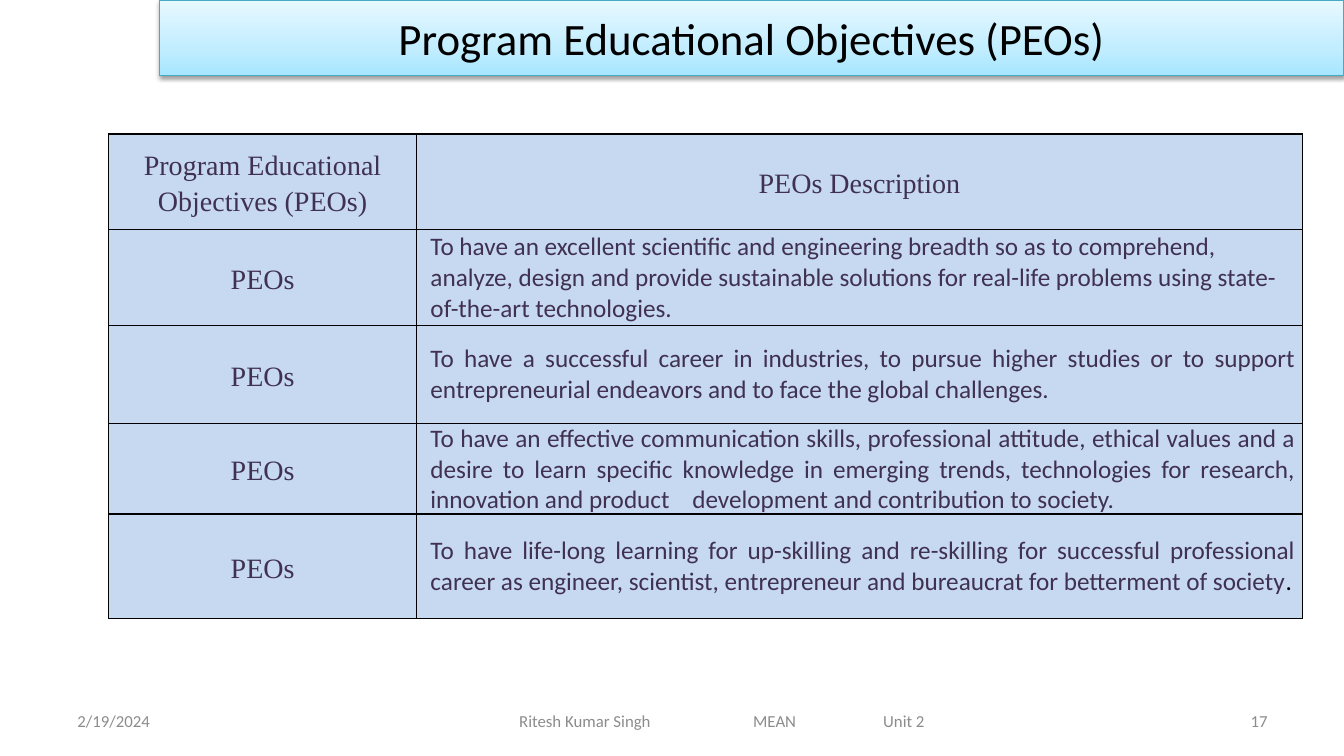
"""Build the slide that lists the program educational objectives."""
from dataclasses import dataclass

import lxml.etree
import pptx
import pptx.dml.color
import pptx.enum.shapes
import pptx.enum.text
import pptx.oxml
import pptx.oxml.ns
import pptx.util

Inches = pptx.util.Inches
Pt = pptx.util.Pt
Align = pptx.enum.text.PP_ALIGN
Anchor = pptx.enum.text.MSO_ANCHOR
qn = pptx.oxml.ns.qn


@dataclass(frozen=True)
class Theme:
    """Colours, fonts and type sizes."""
    sans: str = "Calibri"
    serif: str = "Times New Roman"
    black: str = "000000"
    grey: str = "8C8C8C"
    plum: str = "403152"
    cell: str = "C6D9F1"
    edge: str = "46AAC5"
    stops: tuple[tuple[int, str], ...] = ((0, "A7E6FF"), (35, "C1EDFF"), (100, "E7F8FF"))
    title: int = 32
    head: int = 20
    body: int = 18
    foot: int = 12


@dataclass(frozen=True)
class Run:
    """A stretch of text in one style."""
    text: str
    size: int
    tint: str
    font: str = "Calibri"


@dataclass(frozen=True)
class Foot:
    """A footer field."""
    left: float
    width: float
    text: str
    align: Align = Align.LEFT
    inset: float = 0.1
    tabs: tuple[float, ...] = ()


@dataclass(frozen=True)
class Goal:
    """A table row: its label, its text and its closing mark."""
    text: str
    align: Align = Align.JUSTIFY
    mark: str = ""


THEME = Theme()
COLS = (3.05, 8.79)
ROWS = (0.95, 0.95, 0.97, 0.86, 1.04)
HEADS = ("Program Educational Objectives (PEOs)", "PEOs Description")
LABEL = "PEOs"
GOALS = (
    Goal("To have an excellent scientific and engineering breadth so as to comprehend, analyze, "
         "design and provide sustainable solutions for real-life problems using "
         "state-of-the-art technologies.", Align.LEFT),
    Goal("To have a successful career in industries, to pursue higher studies or to support "
         "entrepreneurial endeavors and to face the global challenges."),
    Goal("To have an effective communication skills, professional attitude, ethical values and a "
         "desire to learn specific knowledge in emerging trends, technologies for research, "
         "innovation and product    development and contribution to society."),
    Goal("To have life-long learning for up-skilling and re-skilling for successful professional "
         "career as engineer, scientist, entrepreneur and bureaucrat for betterment of society",
         mark="."),
)
FEET = (
    Foot(0.67, 3.11, "2/19/2024"),
    Foot(4.42, 5.5, "Ritesh Kumar Singh\tMEAN\tUnit 2", inset=0.73, tabs=(2.32, 3.61)),
    Foot(9.56, 3.11, "17", Align.RIGHT),
)


def paint(tint: str) -> pptx.dml.color.RGBColor:
    """Turn a hex string into a colour."""
    return pptx.dml.color.RGBColor.from_string(tint)


def write(frame: pptx.text.text.TextFrame, runs: list[Run], align: Align) -> None:
    """Fill the first paragraph of a frame run by run."""
    frame.word_wrap = True
    para = frame.paragraphs[0]
    para.alignment = align
    for item in runs:
        run = para.add_run()
        run.text = item.text
        run.font.name = item.font
        run.font.size = Pt(item.size)
        run.font.color.rgb = paint(item.tint)


def add_foot(slide: pptx.slide.Slide, foot: Foot) -> None:
    """Add one footer field with its tab stops."""
    box = slide.shapes.add_textbox(Inches(foot.left), Inches(6.95), Inches(foot.width), Inches(0.4))
    frame = box.text_frame
    frame.vertical_anchor = Anchor.MIDDLE
    frame.margin_left = Inches(foot.inset)
    if foot.tabs:
        props = frame.paragraphs[0]._p.get_or_add_pPr()
        stops = lxml.etree.SubElement(props, qn("a:tabLst"))
        for stop in foot.tabs:
            lxml.etree.SubElement(stops, qn("a:tab"), pos=str(Inches(stop)), algn="l")
    write(frame, [Run(foot.text, THEME.foot, THEME.grey)], foot.align)


def add_title(slide: pptx.slide.Slide) -> None:
    """Add the title bar with its gradient and shadow."""
    bar = slide.shapes.add_shape(pptx.enum.shapes.MSO_SHAPE.RECTANGLE,
                                 Inches(1.58), 0, Inches(11.75), Inches(0.75))
    bar.line.color.rgb = paint(THEME.edge)
    bar.line.width = Pt(0.75)
    bar.fill.gradient()
    bar.fill.gradient_angle = 90
    stops = bar._element.spPr.find(".//" + qn("a:gsLst"))
    for old in list(stops):
        stops.remove(old)
    for place, tint in THEME.stops:
        stop = lxml.etree.SubElement(stops, qn("a:gs"), pos=str(place * 1000))
        lxml.etree.SubElement(stop, qn("a:srgbClr"), val=tint)
    bar.shadow.inherit = False
    glow = lxml.etree.SubElement(bar._element.spPr.find(qn("a:effectLst")), qn("a:outerShdw"),
                                 blurRad=str(Pt(3.1)), dist=str(Pt(1.6)),
                                 dir="5400000", rotWithShape="0")
    shade = lxml.etree.SubElement(glow, qn("a:srgbClr"), val=THEME.black)
    lxml.etree.SubElement(shade, qn("a:alpha"), val="38000")
    bar.text_frame.vertical_anchor = Anchor.MIDDLE
    write(bar.text_frame, [Run(HEADS[0], THEME.title, THEME.black)], Align.CENTER)


def style(cell: pptx.table._Cell) -> None:
    """Set the borders, fill and margins of a cell."""
    props = cell._tc.get_or_add_tcPr()
    for side in ("a:lnL", "a:lnR", "a:lnT", "a:lnB"):
        line = lxml.etree.SubElement(props, qn(side), w=str(Pt(1)))
        fill = lxml.etree.SubElement(line, qn("a:solidFill"))
        lxml.etree.SubElement(fill, qn("a:srgbClr"), val=THEME.black)
    cell.fill.solid()
    cell.fill.fore_color.rgb = paint(THEME.cell)
    cell.vertical_anchor = Anchor.MIDDLE
    cell.margin_left = cell.margin_right = Inches(0.07)
    cell.margin_top = cell.margin_bottom = 0


def add_head(cell: pptx.table._Cell, text: str) -> None:
    """Write a centred heading in a cell."""
    style(cell)
    cell.text_frame.paragraphs[0].line_spacing = 1.15
    write(cell.text_frame, [Run(text, THEME.head, THEME.plum, THEME.serif)], Align.CENTER)


def add_goal(cell: pptx.table._Cell, goal: Goal) -> None:
    """Write the text of a goal in a cell."""
    style(cell)
    cell.text_frame.paragraphs[0]._p.get_or_add_pPr().set("marL", str(Inches(0.07)))
    runs = [Run(goal.text, THEME.body, THEME.plum)]
    if goal.mark:
        runs.append(Run(goal.mark, THEME.body, THEME.black))
    write(cell.text_frame, runs, goal.align)


def add_grid(slide: pptx.slide.Slide) -> None:
    """Add the table of goals."""
    grid = slide.shapes.add_table(len(ROWS), len(COLS), Inches(1.08), Inches(1.33),
                                  Inches(sum(COLS)), Inches(sum(ROWS))).table
    for col, width in zip(grid.columns, COLS):
        col.width = Inches(width)
    for row, height in zip(grid.rows, ROWS):
        row.height = Inches(height)
    for col, text in enumerate(HEADS):
        add_head(grid.cell(0, col), text)
    for row, goal in enumerate(GOALS, 1):
        add_head(grid.cell(row, 0), LABEL)
        add_goal(grid.cell(row, 1), goal)


def main() -> None:
    """Build and save the deck."""
    deck = pptx.Presentation()
    deck.slide_width, deck.slide_height = Inches(13.33), Inches(7.5)
    slide = deck.slides.add_slide(deck.slide_layouts[6])
    for foot in FEET:
        add_foot(slide, foot)
    add_title(slide)
    add_grid(slide)
    deck.save("out.pptx")


if __name__ == "__main__":
    main()
